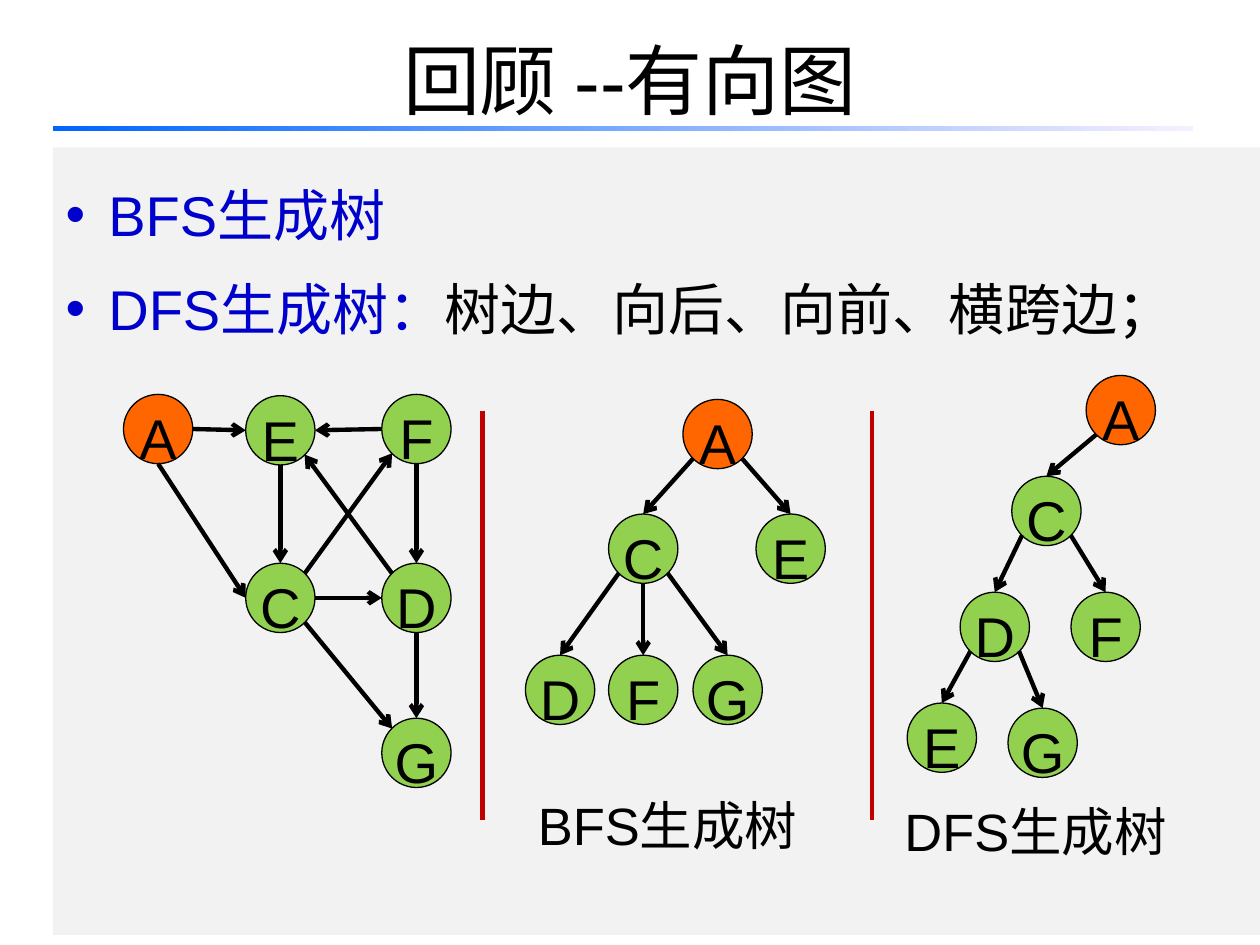
from lxml.etree import SubElement
from pptx import Presentation
from pptx.dml.color import RGBColor
from pptx.enum.shapes import MSO_CONNECTOR as Link, MSO_SHAPE as Shape
from pptx.enum.text import MSO_ANCHOR as Anchor, MSO_AUTO_SIZE as Fit, PP_ALIGN as Align
from pptx.oxml.ns import qn
from pptx.util import Inches, Pt


def paint(color, code):
    color.rgb = RGBColor.from_string(code)


def draw_line(start, end, code, arrow=False):
    line = slide.shapes.add_connector(Link.STRAIGHT, *map(Inches, start + end))
    paint(line.line.color, code)
    line.line.width = Pt(2.5)
    if arrow:
        SubElement(line.line._get_or_add_ln(), qn("a:tailEnd"), type="arrow")
    SubElement(line._element.spPr, qn("a:effectLst"))


prs = Presentation()
prs.slide_width, prs.slide_height = Inches(10), Inches(7.5)
slide = prs.slides.add_slide(prs.slide_layouts[1])

# Title
title = slide.shapes.title
title.left, title.top, title.width, title.height = map(Inches, (0.5, 0, 9, 1.25))
frame = title.text_frame
frame.text = "回顾 --有向图"
frame.vertical_anchor = Anchor.MIDDLE
para = frame.paragraphs[0]
para.alignment = Align.CENTER
para.font.size, para.font.name = Pt(44), "Arial"
paint(para.font.color, "000000")

# Grey panel with the list
body = slide.placeholders[1]
body.left, body.top, body.width, body.height = map(Inches, (0.42, 1.17, 9.58, 6.25))
body.fill.solid()
paint(body.fill.fore_color, "F2F2F2")
frame = body.text_frame
frame.auto_size = Fit.NONE
frame.text = "BFS生成树\nDFS生成树："
for para in frame.paragraphs:
    para.line_spacing, para.space_before = 1.4, Pt(0)
    para.font.size, para.font.name = Pt(32), "Arial"
    paint(para.font.color, "0000CC")
    props = para._p.get_or_add_pPr()
    props.set("marL", str(Inches(0.34)))
    props.set("indent", str(-Inches(0.34)))
run = para.add_run()
run.text = "树边、向后、向前、横跨边；"
paint(run.font.color, "000000")

# Rule under the title
rule = slide.shapes.add_shape(Shape.RECTANGLE, *map(Inches, (0.42, 1, 9.05, 0.04)))
rule.shadow.inherit = False
rule.line.fill.background()
rule.fill.gradient()
rule.fill.gradient_angle = 0
for stop, code in zip(rule.fill.gradient_stops, ("0066FF", "F7EFFF")):
    paint(stop.color, code)

# Dividers
for x in (3.83, 6.92):
    draw_line((x, 3.26), (x, 6.51), "C00000")

# Captions
for name, x, y, width in (("BFS生成树", 4.17, 6.12, 2.42), ("DFS生成树", 7.08, 6.17, 2.92)):
    box = slide.shapes.add_textbox(*map(Inches, (x, y, width, 0.67)))
    frame = box.text_frame
    frame.word_wrap = True
    frame.text = name
    para = frame.paragraphs[0]
    para.line_spacing, para.space_before = 1.25, Pt(15)
    para.font.size, para.font.name = Pt(30), "Arial"
    paint(para.font.color, "000000")

# Graphs: node corners, then edges as (from, side, to, side)
SIZE = 0.55
SIDES = {"n": (0.5, 0), "s": (0.5, 1), "w": (0, 0.5), "e": (1, 0.5),
         "nw": (0.15, 0.15), "ne": (0.85, 0.15), "sw": (0.15, 0.85), "se": (0.85, 0.85)}
graphs = [
    ({"A": (0.98, 3.13), "E": (1.95, 3.14), "F": (3.03, 3.13),
      "C": (1.95, 4.47), "D": (3.03, 4.47), "G": (3.03, 5.7)},
     ["A e E w", "A s C w", "F w E e", "F s D n", "E s C n", "C ne F sw",
      "C e D w", "C se G nw", "D nw E se", "D s G n"]),
    ({"A": (5.42, 3.17), "C": (4.83, 4.08), "E": (6, 4.08),
      "D": (4.17, 5.2), "F": (4.83, 5.2), "G": (5.5, 5.2)},
     ["A sw C n", "A se E n", "C sw D n", "C s F n", "C se G n"]),
    ({"A": (8.62, 2.98), "C": (8.03, 3.78), "D": (7.62, 4.7),
      "F": (8.5, 4.7), "E": (7.2, 5.58), "G": (8, 5.62)},
     ["A sw C n", "C sw D n", "C se F n", "D sw E n", "D se G n"]),
]
for nodes, edges in graphs:
    for name, (x, y) in nodes.items():
        node = slide.shapes.add_shape(Shape.OVAL, *map(Inches, (x, y, SIZE, SIZE)))
        node.shadow.inherit = False
        node.fill.solid()
        paint(node.fill.fore_color, "FF6600" if name == "A" else "92D050")
        paint(node.line.color, "000000")
        node.line.width = Pt(0.75)
        frame = node.text_frame
        frame.word_wrap = False
        frame.vertical_anchor = Anchor.MIDDLE
        frame.text = name
        para = frame.paragraphs[0]
        para.alignment = Align.CENTER
        para.line_spacing, para.space_before = 1.25, Pt(9.6)
        para.font.size, para.font.name = Pt(32), "Arial"
        paint(para.font.color, "000000")
    for edge in edges:
        tail, out, head, into = edge.split()
        start, end = (
            tuple(corner + SIZE * part for corner, part in zip(nodes[name], SIDES[side]))
            for name, side in ((tail, out), (head, into)))
        draw_line(start, end, "000000", arrow=True)

prs.save("out.pptx")
